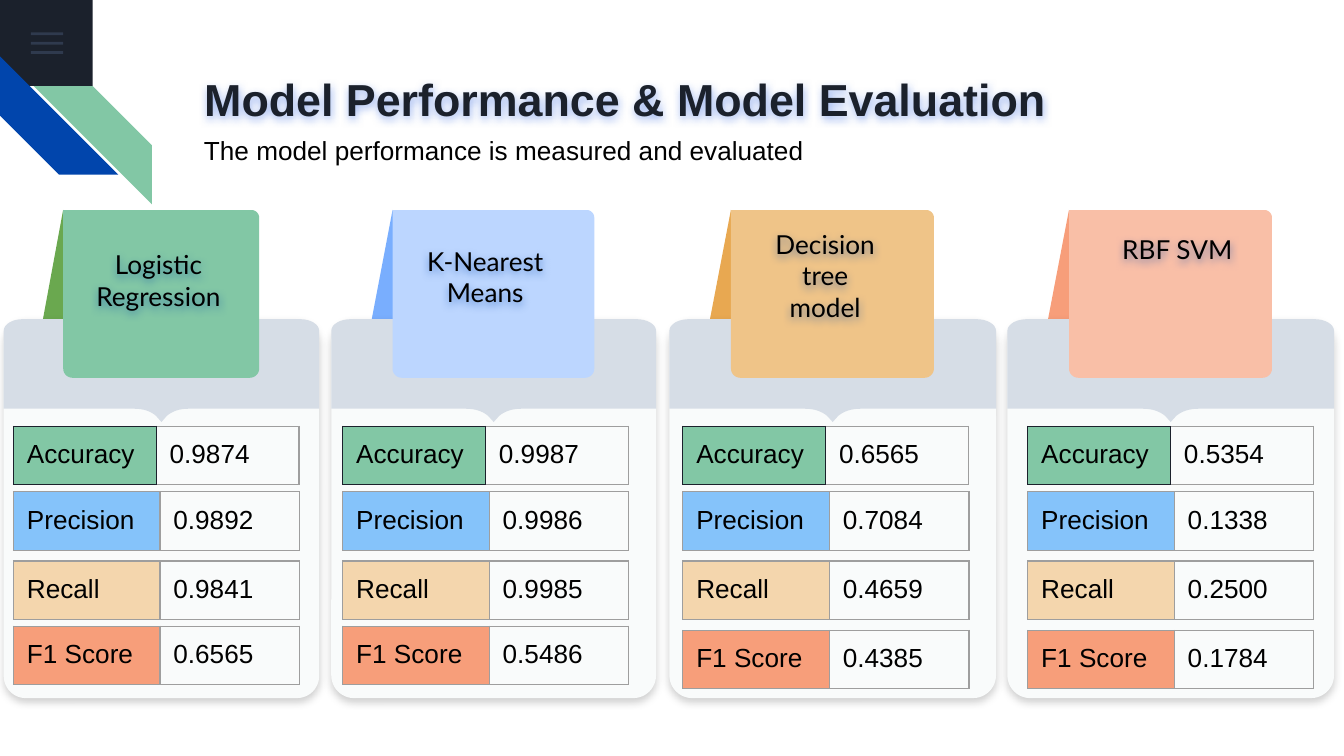
from lxml.etree import SubElement
from pptx import Presentation
from pptx.dml.color import RGBColor
from pptx.enum.shapes import MSO_SHAPE
from pptx.enum.text import MSO_ANCHOR, PP_ALIGN
from pptx.oxml import parse_xml
from pptx.oxml.ns import nsdecls, qn
from pptx.util import Pt

INK = RGBColor(0x1B, 0x21, 0x2C)
BLACK = RGBColor(0x00, 0x00, 0x00)
SLATE = RGBColor(0x55, 0x68, 0x8B)
BLUE = RGBColor(0x01, 0x45, 0xAC)
GREEN = RGBColor(0x82, 0xC7, 0xA5)
LEAF = RGBColor(0x6A, 0xA8, 0x4F)
SKY = RGBColor(0x79, 0xAE, 0xFE)
PALE_SKY = RGBColor(0xBC, 0xD6, 0xFF)
OCHRE = RGBColor(0xE8, 0xA8, 0x51)
SAND = RGBColor(0xEF, 0xC4, 0x88)
CORAL = RGBColor(0xF7, 0x9E, 0x7A)
PALE_CORAL = RGBColor(0xF9, 0xBF, 0xA7)
PANEL = RGBColor(0xF9, 0xFB, 0xFB)
HEADER = RGBColor(0xD6, 0xDD, 0xE6)
AZURE = RGBColor(0x85, 0xC3, 0xFA)
CREAM = RGBColor(0xF4, 0xD6, 0xAD)
GREY = RGBColor(0x9E, 0x9E, 0x9E)
GLOW = RGBColor(0x33, 0x66, 0xE0)


def write(holder, words, face="Arial", size=14, colour=BLACK, bold=False,
          align=PP_ALIGN.LEFT):
    """Set the words of a text frame or table cell."""
    for side in ("left", "top", "right", "bottom"):
        setattr(holder, f"margin_{side}", Pt(7.2))
    holder.vertical_anchor = MSO_ANCHOR.TOP
    frame = getattr(holder, "text_frame", holder)
    frame.word_wrap = True
    para = frame.paragraphs[0]
    para.alignment = align
    span = para.add_run()
    span.text = words
    for name, value in {"name": face, "size": Pt(size), "bold": bold}.items():
        setattr(span.font, name, value)
    span.font.color.rgb = colour


def draw_outline(start, pieces, colour):
    """Fill an outline of lines (one point) and Bezier curves (three points)."""
    points, here = [], start
    for piece in pieces:
        if len(piece) == 1:
            points.append(piece[0])
        else:
            for step in range(1, 9):
                t = step / 8
                weights = ((1 - t) ** 3, 3 * t * (1 - t) ** 2, 3 * t * t * (1 - t), t ** 3)
                points.append(tuple(
                    sum(w * point[axis] for w, point in zip(weights, (here, *piece)))
                    for axis in (0, 1)))
        here = points[-1]
    builder = page.shapes.build_freeform(Pt(start[0]), Pt(start[1]))
    builder.add_line_segments([(Pt(x), Pt(y)) for x, y in points])
    shape = builder.convert_to_shape()
    shape.shadow.inherit = False
    shape.fill.solid()
    shape.fill.fore_color.rgb = colour
    shape.line.fill.background()


deck = Presentation()
deck.slide_width, deck.slide_height = Pt(720), Pt(405)
page = deck.slides.add_slide(deck.slide_layouts[5])
shadows = []  # shape, colour, opacity, blur, distance

# Corner ornament: dark square, menu bars and two stripes
ornament = [(MSO_SHAPE.RECTANGLE, 0, 0, 49.7, 46.1, INK)]
ornament += [(MSO_SHAPE.RECTANGLE, 16.6, 17.4 + 5 * n, 17.3, 1.5, SLATE) for n in range(3)]
ornament += [(MSO_SHAPE.DIAGONAL_STRIPE, 0, 30.2, 63.4, 63.4, BLUE),
             (MSO_SHAPE.DIAGONAL_STRIPE, 18, 46.1, 63.4, 63.4, GREEN)]
for kind, left, top, width, height, colour in ornament:
    shape = page.shapes.add_shape(kind, Pt(left), Pt(top), Pt(width), Pt(height))
    shape.shadow.inherit = False
    shape.fill.solid()
    shape.fill.fore_color.rgb = colour
    shape.line.fill.background()
    if colour == SLATE:
        tint = shape.fill._xPr.find(qn("a:solidFill"))[0]
        SubElement(tint, qn("a:alpha"), val="36000")
    elif colour == BLUE:
        shape.rotation = 270
    elif colour == GREEN:
        shape._element.spPr.xfrm.set("flipH", "1")

# Title and subtitle
title = page.shapes.title
title.left, title.top, title.width, title.height = Pt(102.2), Pt(31), Pt(554.4), Pt(72)
write(title.text_frame, "Model Performance & Model Evaluation", size=24, colour=INK, bold=True)
shadows.append((title, GLOW, 50, 4.5, 1.5))
subtitle = page.shapes.add_textbox(Pt(102.2), Pt(64.8), Pt(439.2), Pt(31.7))
write(subtitle.text_frame, "The model performance is measured and evaluated")

# Cards: left, width, table left, F1 top, fold and tab colours, label and its box, scores
cards = [
    (2, 169, 7.2, 335.5, LEAF, GREEN, "Logistic Regression", (40.3, 126, 89.3, 48.2),
     ("0.9874", "0.9892", "0.9841", "0.6565")),
    (177.5, 174, 183.6, 335.5, SKY, PALE_SKY, "K-Nearest Means", (215.3, 124.2, 89.3, 48.2),
     ("0.9987", "0.9986", "0.9985", "0.5486")),
    (358.6, 175, 365.8, 337.7, OCHRE, SAND, "Decision tree model", (407.2, 115.2, 69.8, 65.5),
     ("0.6565", "0.7084", "0.4659", "0.4385")),
    (539.7, 175, 550.6, 337.7, CORAL, PALE_CORAL, "RBF SVM", (586.1, 118, 89.3, 31.7),
     ("0.5354", "0.1338", "0.2500", "0.1784")),
]
metrics = [("Accuracy", GREEN), ("Precision", AZURE), ("Recall", CREAM), ("F1 Score", CORAL)]

for left, width, table_left, last_top, fold, tab, label, label_box, scores in cards:
    unit = width / 175
    right, middle = left + width, left + width / 2

    # Fold behind the tab
    tab_left, tab_right = left + 33 * unit, left + 141.7 * unit
    fold_left = left + 21.7 * unit
    draw_outline((tab_left, 112.5), [[(fold_left, 171.4)], [(fold_left + 31 * unit, 171.4)]], fold)

    # Panel
    panel = page.shapes.add_shape(MSO_SHAPE.ROUNDED_RECTANGLE, Pt(left), Pt(171),
                                  Pt(width), Pt(203))
    panel.adjustments[0] = 0.07
    panel.fill.solid()
    panel.fill.fore_color.rgb = PANEL
    panel.line.fill.background()
    shadows.append((panel, BLACK, 18, 4.5, 2.2))

    # Header with a notch
    corner, notch = 10.5 * unit, 14.8 * unit
    draw_outline((left + corner, 171), [
        [(left + corner / 2, 171), (left, 173.5), (left, 177.3)],
        [(left, 219)], [(middle - notch, 219)],
        [(middle - 10 * unit, 219), (middle - 6 * unit, 220.3), (middle - 3 * unit, 222.8)],
        [(middle, 226.1)], [(middle + 3 * unit, 222.8)],
        [(middle + 6 * unit, 220.3), (middle + 10 * unit, 219), (middle + notch, 219)],
        [(right, 219)], [(right, 177.3)],
        [(right, 173.5), (right - corner / 2, 171), (right - corner, 171)]], HEADER)

    # Tab and its label
    draw_outline((tab_left, 112.5), [
        [(tab_right - 4, 112.5)],
        [(tab_right - 2, 112.5), (tab_right, 114.3), (tab_right, 116.5)],
        [(tab_right, 197.5)],
        [(tab_right, 200.2), (tab_right - 2.2, 202.4), (tab_right - 5, 202.4)],
        [(tab_left + 5, 202.4)],
        [(tab_left + 2.2, 202.4), (tab_left, 200.2), (tab_left, 197.5)]], tab)
    box = page.shapes.add_textbox(*map(Pt, label_box))
    write(box.text_frame, label, face="Lato", align=PP_ALIGN.CENTER)
    shadows.append((box, BLUE, 50, 4.5, 1.5))

    # One table for each score
    tops = (228.5, 263.5, 300.5, last_top)
    for (metric, colour), score, top in zip(metrics, scores, tops):
        first = metric == "Accuracy"
        widths = (76.5, 76.5) if first else (78.5, 74.8)
        table = page.shapes.add_table(1, 2, Pt(table_left), Pt(top),
                                      Pt(sum(widths)), Pt(31)).table
        table.first_row = table.horz_banding = False
        table.rows[0].height = Pt(31)
        for column, words in enumerate((metric, score)):
            table.columns[column].width = Pt(widths[column])
            cell = table.cell(0, column)
            write(cell, words)
            if column == 0:
                cell.fill.solid()
                cell.fill.fore_color.rgb = colour
            else:
                cell.fill.background()
            for place, side in enumerate("LRTB"):
                edge = INK if first and (column == 0 or side == "L") else GREY
                cell._tc.get_or_add_tcPr().insert(place, parse_xml(
                    f'<a:ln{side} {nsdecls("a")} w="9525"><a:solidFill>'
                    f'<a:srgbClr val="{edge}"/></a:solidFill></a:ln{side}>'))

# Soft shadows, all falling straight down
for shape, colour, opacity, blur, distance in shadows:
    shape.shadow.inherit = False
    shape._element.spPr.find(qn("a:effectLst")).append(parse_xml(
        f'<a:outerShdw {nsdecls("a")} blurRad="{Pt(blur)}" dist="{Pt(distance)}" '
        f'dir="5400000" algn="bl" rotWithShape="0"><a:srgbClr val="{colour}">'
        f'<a:alpha val="{opacity * 1000}"/></a:srgbClr></a:outerShdw>'))

deck.save("out.pptx")
